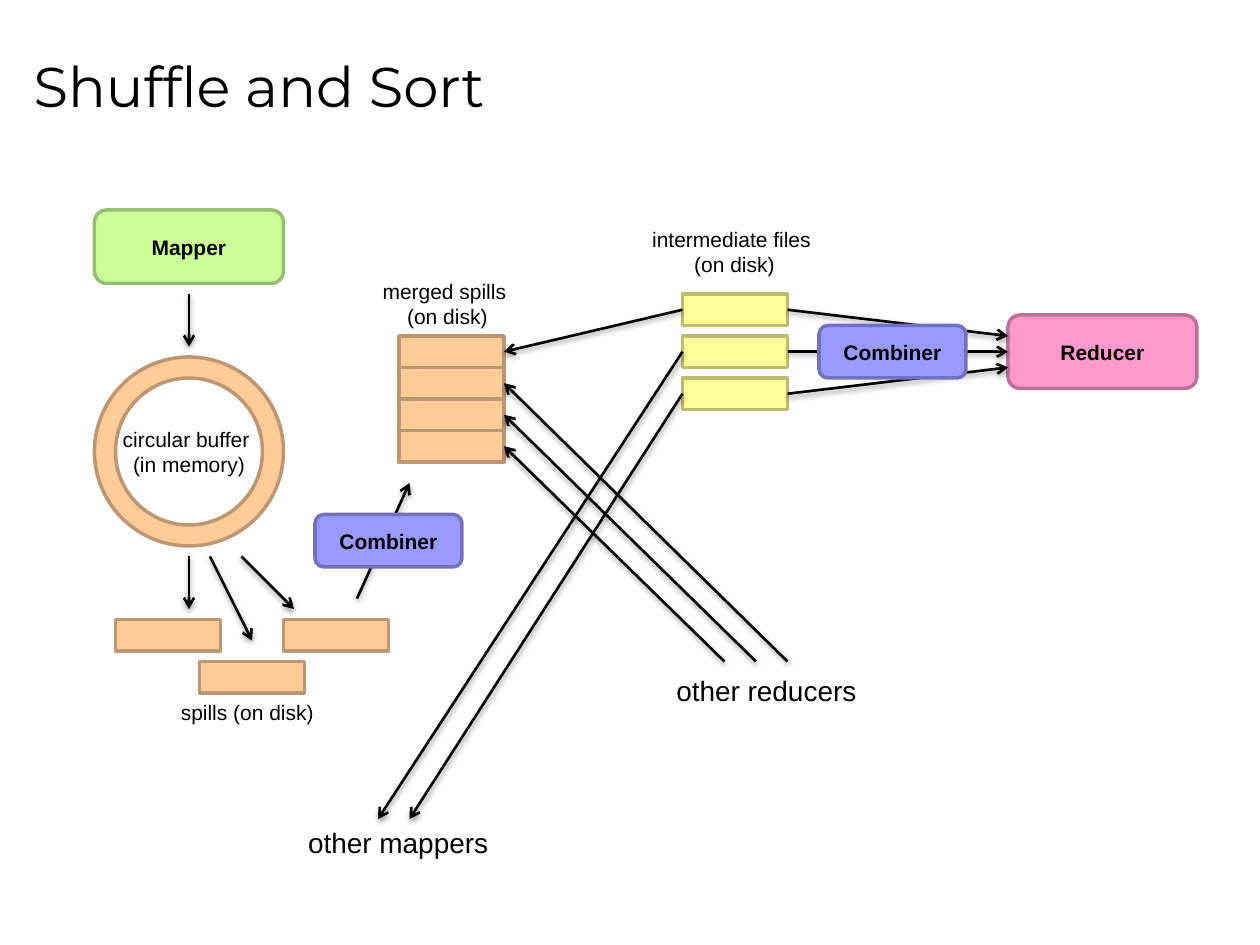
import dataclasses

import lxml.etree
import pptx
import pptx.dml.color
import pptx.enum.shapes
import pptx.enum.text
import pptx.oxml
import pptx.oxml.ns
import pptx.util

Pt = pptx.util.Pt
ShapeKind = pptx.enum.shapes.MSO_SHAPE
Align = pptx.enum.text.PP_ALIGN
Anchor = pptx.enum.text.MSO_ANCHOR
AutoSize = pptx.enum.text.MSO_AUTO_SIZE


@dataclasses.dataclass(frozen=True)
class Theme:
    title_font: str = "Montserrat"
    body_font: str = "Arial"
    title_size: float = 32
    note_size: float = 16
    label_size: float = 12
    outline: float = 2
    arrow: float = 1.5
    black: str = "000000"
    white: str = "FFFFFF"
    green: tuple = ("CCFF99", "97BD71")
    pink: tuple = ("FF99CC", "BD7197")
    orange: tuple = ("FFCC99", "BD9771")
    yellow: tuple = ("FFFF99", "BDBD71")
    blue: tuple = ("9999FF", "7171BD")


@dataclasses.dataclass(frozen=True)
class Box:
    left: float
    top: float
    width: float
    height: float

    def inner(self, left, top, width, height):
        return Box(self.left + left, self.top + top, width, height)

    def lengths(self):
        return [Pt(value) for value in dataclasses.astuple(self)]


THEME = Theme()
SHADOW = """<a:effectLst %s><a:outerShdw blurRad="39370" dist="20320" dir="5400000" rotWithShape="0">
<a:srgbClr val="000000"><a:alpha val="38000"/></a:srgbClr></a:outerShdw></a:effectLst>"""


def color(value):
    return pptx.dml.color.RGBColor.from_string(value)


def apply(target, values):
    for name, value in values.items():
        setattr(target, name, value)


def write(shape, text, size, align=Align.CENTER, bold=False, font=THEME.body_font):
    shape.text_frame.text = text
    paragraph = shape.text_frame.paragraphs[0]
    paragraph.alignment = align
    for run in paragraph.runs:
        apply(run.font, {"name": font, "size": Pt(size), "bold": bold})
        run.font.color.rgb = color(THEME.black)


def add_block(shapes, kind, box, colors, text=""):
    shape = shapes.add_shape(kind, *box.lengths())
    shape.shadow.inherit = False
    shape.fill.solid()
    shape.fill.fore_color.rgb = color(colors[0])
    shape.line.color.rgb = color(colors[1])
    shape.line.width = Pt(THEME.outline)
    if text:
        shape.text_frame.vertical_anchor = Anchor.MIDDLE
        write(shape, text, THEME.label_size, bold=True)
    return shape


def add_label(shapes, box, text, size=THEME.label_size, align=Align.CENTER, wrap=False):
    label = shapes.add_textbox(*box.lengths())
    write(label, text, size, align)
    apply(label.text_frame, {"word_wrap": wrap, "auto_size": AutoSize.SHAPE_TO_FIT_TEXT})


def add_arrow(shapes, start, end, begin_shape=None, begin_side=3, end_shape=None, end_side=3):
    connector = shapes.add_connector(
        pptx.enum.shapes.MSO_CONNECTOR.STRAIGHT, *[Pt(value) for value in (*start, *end)])
    if begin_shape is not None:
        connector.begin_connect(begin_shape, begin_side)
    if end_shape is not None:
        connector.end_connect(end_shape, end_side)
    connector.line.color.rgb = color(THEME.black)
    connector.line.width = Pt(THEME.arrow)
    lxml.etree.SubElement(connector.line._get_or_add_ln(), pptx.oxml.ns.qn("a:tailEnd"), type="arrow")
    connector._element.spPr.append(pptx.oxml.parse_xml(SHADOW % pptx.oxml.ns.nsdecls("a")))


def add_title(slide, box, text):
    title = slide.shapes.title
    apply(title, dict(zip(("left", "top", "width", "height"), box.lengths())))
    write(title, text, THEME.title_size, Align.LEFT, font=THEME.title_font)
    apply(title.text_frame, {"vertical_anchor": Anchor.MIDDLE, "auto_size": AutoSize.NONE})


def add_map_side(shapes, box):
    add_block(shapes, ShapeKind.ROUNDED_RECTANGLE, box.inner(0, 0, 108, 42), THEME.green, "Mapper")
    ring = shapes.add_group_shape().shapes
    add_block(ring, ShapeKind.OVAL, box.inner(0, 84, 108, 108), THEME.orange)
    add_block(ring, ShapeKind.OVAL, box.inner(12, 96, 84, 84), (THEME.white, THEME.orange[1]))
    for left, top in ((60, 258), (12, 234), (108, 234)):
        add_block(shapes, ShapeKind.RECTANGLE, box.inner(left, top, 60, 18), THEME.orange)
    arrows = ((54, 48, 54, 78), (54, 198, 54, 228), (66, 198, 90, 246),
              (84, 198, 114, 228), (150, 222, 180, 156))
    for x1, y1, x2, y2 in arrows:
        add_arrow(shapes, (box.left + x1, box.top + y1), (box.left + x2, box.top + y2))
    add_label(shapes, box.inner(6, 120, 96, 36), "circular buffer \v(in memory)", wrap=True)
    add_label(shapes, box.inner(42, 276, 90.7, 21.6), "spills (on disk)")
    add_block(shapes, ShapeKind.ROUNDED_RECTANGLE, box.inner(126, 174, 84, 30), THEME.blue, "Combiner")


def add_stack(shapes, box, count, pitch, colors, text, label_box):
    add_label(shapes, label_box, text)
    return [add_block(shapes, ShapeKind.RECTANGLE, box.inner(0, row * pitch, box.width, 18), colors)
            for row in range(count)]


def add_exchange(shapes, box, merged, files):
    add_arrow(shapes, (0, 0), (0, 0), files[0], 1, merged[0], 3)
    for index, file in enumerate(files[1:]):
        add_arrow(shapes, (0, 0), (box.left + 47 + 18 * index, box.top + 300), file, 1)
    for index, spill in enumerate(merged[1:]):
        add_arrow(shapes, (box.left + 281 - 18 * index, box.top + 210), (0, 0), end_shape=spill)
    add_label(shapes, box.inner(0, 300, 119, 26.6), "other mappers", THEME.note_size, Align.LEFT)
    add_label(shapes, box.inner(210.4, 213.6, 119, 26.6), "other reducers", THEME.note_size, Align.LEFT)


def add_reduce_side(shapes, box, files):
    reducer = add_block(shapes, ShapeKind.ROUNDED_RECTANGLE, box.inner(126, 12, 108, 42),
                        THEME.pink, "Reducer")
    for index, file in enumerate(files):
        end = (box.left + 126, box.top + 24 + 9 * index)
        add_arrow(shapes, (0, 0), end, file, 3, reducer if index == 1 else None, 1)
    add_block(shapes, ShapeKind.ROUNDED_RECTANGLE, box.inner(18, 18, 84, 30), THEME.blue, "Combiner")


def main():
    presentation = pptx.Presentation()
    apply(presentation, {"slide_width": Pt(720), "slide_height": Pt(540)})
    slide = presentation.slides.add_slide(presentation.slide_layouts[5])
    shapes = slide.shapes
    add_title(slide, Box(12, 8.6, 684, 80.6), "Shuffle and Sort")
    add_map_side(shapes, Box(54, 120, 210, 298))
    merged = add_stack(shapes, Box(228, 192, 60, 72), 4, 18, THEME.orange,
                       "merged spills \v(on disk)", Box(211, 155.5, 89.3, 36))
    files = add_stack(shapes, Box(390, 168, 60, 66), 3, 24, THEME.yellow,
                      "intermediate files \v(on disk)", Box(365, 126, 109.4, 36))
    add_exchange(shapes, Box(169, 168, 330, 327), merged, files)
    add_reduce_side(shapes, Box(450, 168, 234, 66), files)
    presentation.save("out.pptx")


if __name__ == "__main__":
    main()
